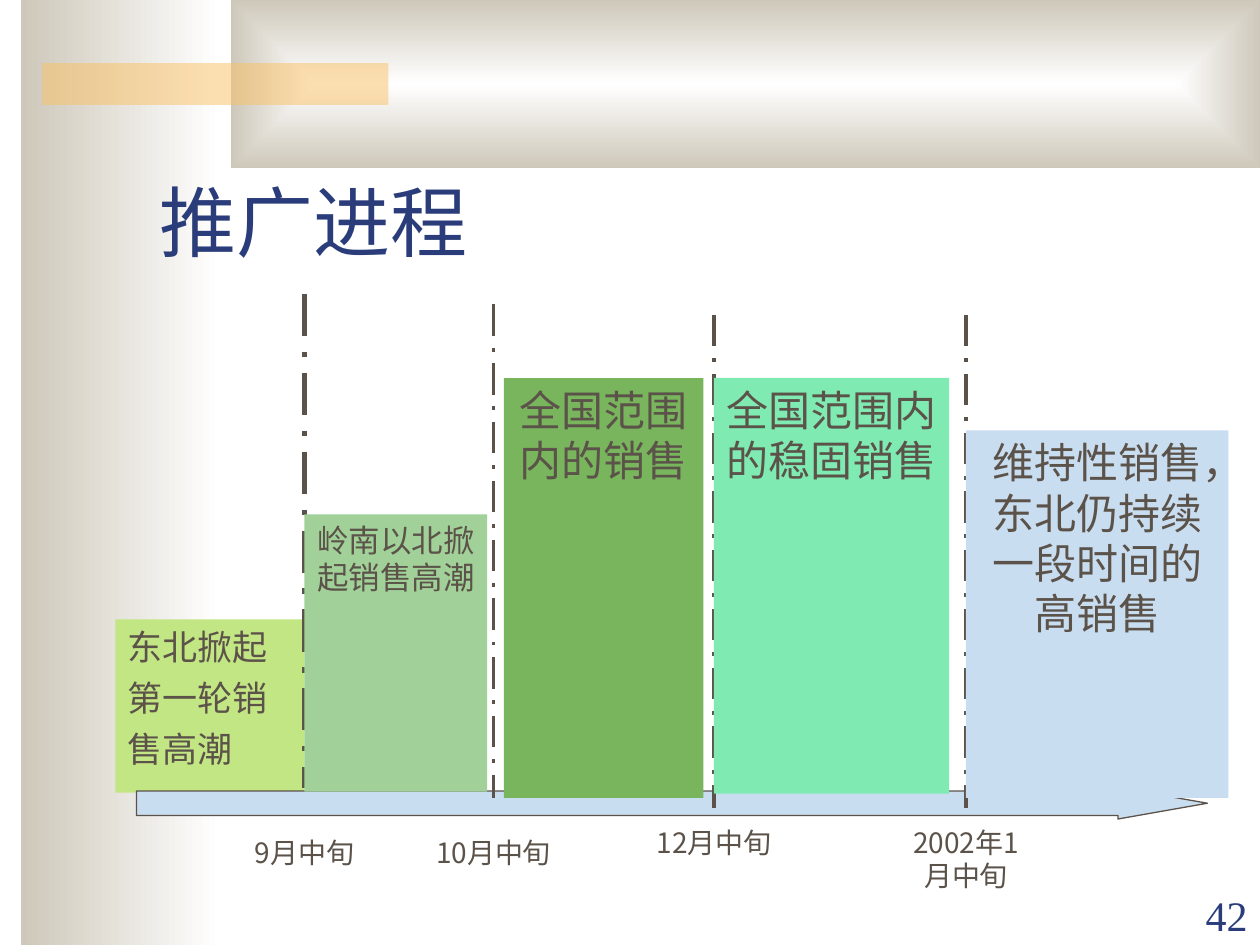
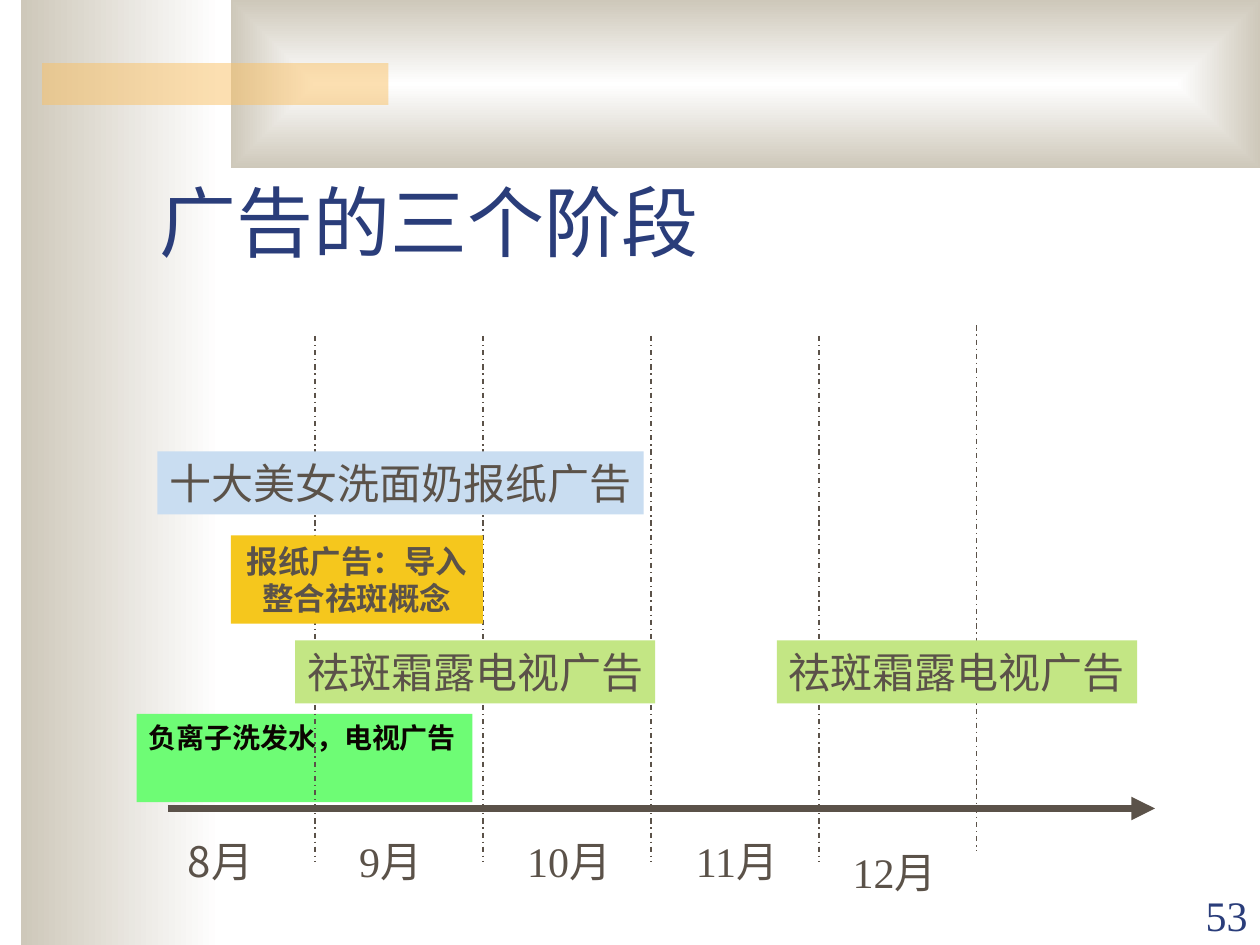
from lxml import etree
from pptx import Presentation
from pptx import util as u
from pptx.dml.color import RGBColor
from pptx.enum import dml, shapes, text
from pptx.oxml import ns

# Palette and fonts
WHITE = RGBColor(0xFF, 0xFF, 0xFF)
STONE = RGBColor(0xCE, 0xC8, 0xBA)
AMBER = RGBColor(0xFA, 0xC1, 0x64)
NAVY = RGBColor(0x2A, 0x3D, 0x7A)
BROWN = RGBColor(0x5B, 0x52, 0x49)
BLACK = RGBColor(0x0B, 0x05, 0x01)
LIME = RGBColor(0xC3, 0xE6, 0x84)
SAGE = RGBColor(0xA1, 0xD1, 0x99)
LEAF = RGBColor(0x78, 0xB5, 0x5D)
MINT = RGBColor(0x7F, 0xEB, 0xB2)
SKY = RGBColor(0xC9, 0xDD, 0xF1)
GOLD = RGBColor(0xF5, 0xC7, 0x1D)
NEON = RGBColor(0x6E, 0xFC, 0x75)
SERIF = "Times New Roman"
SANS = "Noto Sans CJK SC"

LEFT, CENTER, RIGHT = text.PP_ALIGN.LEFT, text.PP_ALIGN.CENTER, text.PP_ALIGN.RIGHT
TOP, BOTTOM = text.MSO_ANCHOR.TOP, text.MSO_ANCHOR.BOTTOM
COLUMNS, ROWS = 120, 90


def sub(parent, tag, **attrs):
    return etree.SubElement(parent, ns.qn(tag), **attrs)


class Deck:
    """Style, grid and current slide."""

    def __init__(self):
        self.prs = Presentation()
        self.prs.slide_width, self.prs.slide_height = u.Inches(10), u.Inches(7.5)
        self.layout = self.prs.slide_layouts[5]
        self.s = None

    def x(self, columns):
        return round(self.prs.slide_width * columns / COLUMNS)

    def y(self, rows):
        return round(self.prs.slide_height * rows / ROWS)

    def area(self, left, top, width, height):
        return self.x(left), self.y(top), self.x(width), self.y(height)

    def slide(self, title, number):
        first = self.s is None
        self.s = self.prs.slides.add_slide(self.layout)
        if first:
            self.bands()
        sp = self.s.shapes.title
        sp.left, sp.top, sp.width, sp.height = self.area(14, 11, 102, 15)
        self.set_text(sp.text_frame, [title], 44, NAVY, align=LEFT, anchor=BOTTOM)
        self.label(str(number), 108, 84.1, 12, 6, 24, NAVY, align=RIGHT, anchor=BOTTOM)

    def bands(self):
        """Draw the shared background and hand it over to the layout."""
        side = self.shape(2, 0, 19, 90)
        self.gradient(side).gradient_angle = 180

        header = self.shape(22, 0, 98, 16)
        self.gradient(header)
        lin = header._element.spPr.find(".//" + ns.qn("a:lin"))
        grad = lin.getparent()
        grad.remove(lin)
        sub(sub(grad, "a:path", path="rect"), "a:fillToRect",
            l="50000", t="50000", r="50000", b="50000")

        accent = self.shape(4, 6, 33, 4, AMBER)
        color = accent._element.spPr.find(".//" + ns.qn("a:srgbClr"))
        sub(color, "a:alpha", val="50000")

        for sp in (side, header, accent):
            self.layout.shapes._spTree.append(sp._element)

    def gradient(self, sp):
        sp.fill.gradient()
        for stop, color in zip(sp.fill.gradient_stops, (WHITE, STONE)):
            stop.color.rgb = color
        return sp.fill

    def shape(self, left, top, width, height, fill=None,
              kind=shapes.MSO_SHAPE.RECTANGLE):
        sp = self.s.shapes.add_shape(kind, *self.area(left, top, width, height))
        sp.shadow.inherit = False
        sp.line.fill.background()
        if fill is not None:
            sp.fill.solid()
            sp.fill.fore_color.rgb = fill
        return sp

    def box(self, lines, left, top, width, height, fill, size=24, color=BROWN, **style):
        sp = self.shape(left, top, width, height, fill)
        self.set_text(sp.text_frame, lines, size, color, **style)

    def label(self, words, left, top, width, height, size, color=BROWN, **style):
        sp = self.s.shapes.add_textbox(*self.area(left, top, width, height))
        self.set_text(sp.text_frame, [words], size, color, **style)

    def set_text(self, tf, lines, size, color, font=SERIF, align=CENTER, anchor=TOP,
                 bold=False, wrap=True, gap=0):
        tf.auto_size = text.MSO_AUTO_SIZE.NONE
        tf.word_wrap = wrap
        tf.vertical_anchor = anchor
        for i, line in enumerate(lines):
            p = tf.add_paragraph() if i else tf.paragraphs[0]
            p.text = line
            p.alignment = align
            p.space_before = u.Pt(gap if i else 0)
            p.font.name, p.font.size, p.font.bold = font, u.Pt(size), bold
            p.font.color.rgb = color

    def line(self, x1, y1, x2, y2, weight, dash=None, arrow=False):
        c = self.s.shapes.add_connector(shapes.MSO_CONNECTOR.STRAIGHT, self.x(x1),
                                        self.y(y1), self.x(x2), self.y(y2))
        c.line.color.rgb = BROWN
        c.line.width = u.Pt(weight)
        if dash:
            c.line.dash_style = dash
        if arrow:
            sub(c.line._get_or_add_ln(), "a:tailEnd", type="triangle")
        sub(c._element.spPr, "a:effectLst")

    def block_arrow(self, left, top, width, height, fill, *adjustments):
        sp = self.shape(left, top, width, height, fill, shapes.MSO_SHAPE.RIGHT_ARROW)
        sp.line.color.rgb = BROWN
        sp.line.width = u.Pt(0.75)
        for i, value in enumerate(adjustments):
            sp.adjustments[i] = value


def promotion_progress(deck):
    deck.slide("推广进程", 42)
    deck.box(["东北掀起", "第一轮销", "售高潮"], 11, 59, 18, 16.5, LIME, 20,
             align=LEFT, gap=5)
    deck.block_arrow(13, 75, 102, 3, SKY, 0.775, 2.84)

    # Milestones: column, top of the line, weight, date, top and height of the date
    milestones = [
        (29, 28, 3, "9月中旬", 79, 4.4),
        (47, 29, 2.25, "10月中旬", 79, 4.4),
        (68, 30, 2.25, "12月中旬", 78, 4.4),
        (92, 30, 2.25, "2002年1月中旬", 78, 7.7),
    ]
    for x, top, weight, date, date_top, height in milestones:
        deck.line(x, top, x, top + 47, weight, dml.MSO_LINE.LONG_DASH_DOT)
        deck.label(date, x - 7, date_top, 14, height, 16, font=SANS)

    # Sales stages
    deck.box(["岭南以北掀", "起销售高潮"], 29, 49, 17.4, 26.4, SAGE, 18, wrap=False)
    deck.box(["全国范围内的销售"], 48, 36, 19, 40, LEAF)
    deck.box(["全国范围内", "的稳固销售"], 68, 36, 22.4, 39.6, MINT)
    deck.box(["维持性销售，东北仍持续一段时间的高销售"], 92, 41, 25, 35, SKY)


def advertising_stages(deck):
    deck.slide("广告的三个阶段", 53)
    deck.box(["负离子洗发水，电视广告"], 13, 68, 32, 8.4, NEON, 16, BLACK,
             align=LEFT, bold=True)

    # Time axis with month dividers
    deck.line(16, 77, 110, 77, 4.5, arrow=True)
    for x, top in [(30, 32), (46, 32), (62, 32), (78, 32), (93, 31)]:
        deck.line(x, top, x, top + 50, 0.75, dml.MSO_LINE.DASH_DOT)
    months = [("8月", 21, 79, SANS), ("9月", 37.2, 79, SERIF), ("10月", 54.2, 79, SERIF),
              ("11月", 70.2, 79, SERIF), ("12月", 85.2, 80, SERIF)]
    for month, center, top, font in months:
        deck.label(month, center - 6, top, 12, 6, 24, font=font)

    # Campaigns
    for left in (28.1, 74):
        deck.box(["祛斑霜露电视广告"], left, 61, 34.3, 6, LIME, wrap=False)
    deck.box(["报纸广告：导入整合祛斑概念"], 22, 51, 24, 8.4, GOLD, 18, bold=True)
    deck.box(["十大美女洗面奶报纸广告"], 15, 43, 46.3, 6, SKY, wrap=False)


def main():
    deck = Deck()
    promotion_progress(deck)
    advertising_stages(deck)
    deck.prs.save("out.pptx")


if __name__ == "__main__":
    main()
